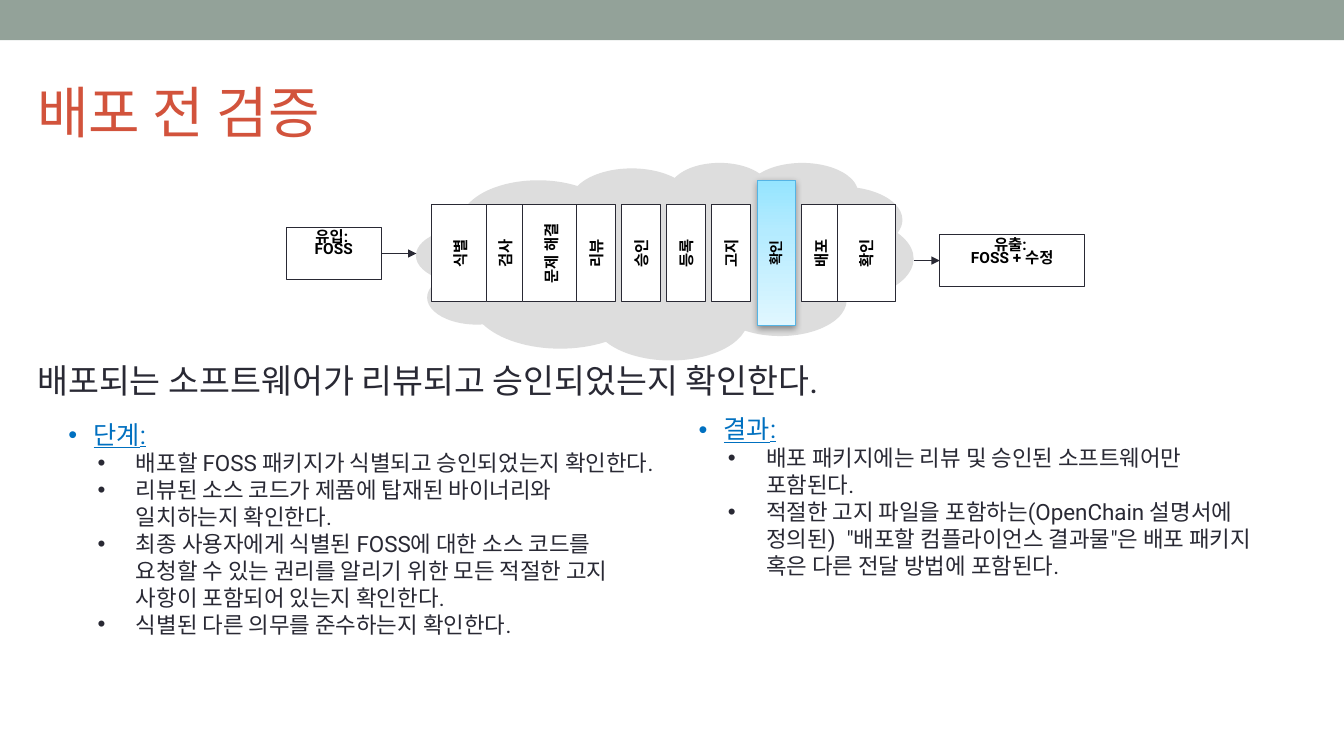
"""Builds the slide on verification before distribution."""
from lxml import etree
from pptx import Presentation, util as u
from pptx.dml.color import RGBColor
from pptx.enum import shapes, text
from pptx.oxml import parse_xml
from pptx.oxml.ns import nsdecls, qn

SAGE = RGBColor(0x93, 0xA2, 0x99)
CLOUD = RGBColor(0xDD, 0xDD, 0xDD)
WHITE = RGBColor(0xFF, 0xFF, 0xFF)
BLACK = RGBColor(0x00, 0x00, 0x00)
INK = RGBColor(0x29, 0x29, 0x34)
BLUE = RGBColor(0x00, 0x70, 0xC0)
SKY = RGBColor(0x55, 0xB4, 0xE5)
BRICK = RGBColor(0xD2, 0x53, 0x3C)
GLOW = [(0, RGBColor(0x95, 0xE5, 0xFF)), (35, RGBColor(0xB4, 0xEB, 0xFF)),
        (100, RGBColor(0xE0, 0xF7, 0xFF))]
FONT = "Roboto"

TITLE = "배포 전 검증"
STATEMENT = "배포되는 소프트웨어가 리뷰되고 승인되었는지 확인한다."
STEPS = ["식별", "검사", "문제 해결", "리뷰", "승인", "등록", "고지", "확인", "배포", "확인"]
WIDE_STEPS = {0, 2, 9}
CURRENT_STEP = 7
INFLOW = ["유입: ", "FOSS"]
OUTFLOW = ["유출: ", "FOSS + 수정"]
RESULTS = ["결과:",
           "배포 패키지에는 리뷰 및 승인된 소프트웨어만 포함된다.",
           "적절한 고지 파일을 포함하는(OpenChain 설명서에 정의된)  \"배포할 컴플라이언스 결과물\"은 "
           "배포 패키지 혹은 다른 전달 방법에 포함된다."]
TASKS = ["단계:",
         "배포할 FOSS 패키지가 식별되고 승인되었는지 확인한다.",
         "리뷰된 소스 코드가 제품에 탑재된 바이너리와 일치하는지 확인한다.",
         "최종 사용자에게 식별된 FOSS에 대한 소스 코드를 요청할 수 있는 권리를 알리기 위한 "
         "모든 적절한 고지 사항이 포함되어 있는지 확인한다.",
         "식별된 다른 의무를 준수하는지 확인한다."]

# Shares of the slide, in percent: left, top, width, height
BAND_AREA = (0, 0, 100, 5.33)
TITLE_AREA = (2.03, 7.47, 90, 14.4)
CLOUD_AREA = (30.98, 21.47, 36.98, 26.13)
STATEMENT_AREA = (2.03, 46.93, 97.97, 6.67)
INFLOW_AREA = (21.31, 30.13, 7.05, 6.8)
OUTFLOW_AREA = (69.92, 31.07, 10.8, 6.8)
RESULTS_AREA = (51.24, 54.53, 43.66, 39.07)
TASKS_AREA = (4.35, 55.2, 44.79, 40.4)
FIRST_STEP, LAST_STEP, STEP_MIDDLE = 34.28, 64.48, 33.47
NARROW, WIDE, CURRENT_WIDTH = 2.93, 4.28, 2.78
STEP_HEIGHT, CURRENT_HEIGHT = 12.93, 19.2

deck = Presentation()
deck.slide_width, deck.slide_height = u.Inches(13.33), u.Inches(7.5)
page = deck.slides.add_slide(deck.slide_layouts[6])


def across(share):
    return round(deck.slide_width * share / 100)


def down(share):
    return round(deck.slide_height * share / 100)


def place(area):
    left, top, width, height = area
    return across(left), down(top), across(width), down(height)


def upright(center, width, height):
    """Frame that covers the given area once turned by a quarter."""
    long, short = down(height), across(width)
    return across(center) - long // 2, down(STEP_MIDDLE) - short // 2, long, short


def add_box(frame, fill=None, line=None, kind=shapes.MSO_SHAPE.RECTANGLE):
    box = page.shapes.add_shape(kind, *frame)
    box.shadow.inherit = False
    if fill is not None:
        box.fill.solid()
        box.fill.fore_color.rgb = fill
    if line is None:
        box.line.fill.background()
    else:
        box.line.color.rgb = line
        box.line.width = u.Pt(0.75)
    return box


def write(box, lines, size, color, bold=None, align=text.PP_ALIGN.LEFT,
          anchor=text.MSO_ANCHOR.TOP, spacing=None):
    frame = box.text_frame
    frame.word_wrap = True
    frame.vertical_anchor = anchor
    for index, line in enumerate(lines):
        para = frame.paragraphs[0] if index == 0 else frame.add_paragraph()
        para.alignment = align
        if spacing:
            para.line_spacing = spacing
        span = para.add_run()
        span.text = line
        span.font.name, span.font.size, span.font.bold = FONT, u.Pt(size), bold
        span.font.color.rgb = color


def add_text(frame, lines, size, color, **style):
    box = page.shapes.add_textbox(*frame)
    write(box, lines, size, color, **style)
    return box


def add_bullets(area, lines):
    box = add_text(place(area), lines, 16, INK)
    for index, para in enumerate(box.text_frame.paragraphs):
        margin, hang, color = (0.67, 0.38, INK) if index else (0.25, 0.25, BLUE)
        if index == 0:
            para.line_spacing = 0.9
            font = para.runs[0].font
            font.size, font.underline = u.Pt(18), True
            font.color.rgb = BLUE
        props = para._p.get_or_add_pPr()
        props.set("marL", str(u.Inches(margin)))
        props.set("indent", str(-u.Inches(hang)))
        tint = etree.SubElement(props, qn("a:buClr"))
        etree.SubElement(tint, qn("a:srgbClr"), val=str(color))
        etree.SubElement(props, qn("a:buFont"), typeface="Arial")
        etree.SubElement(props, qn("a:buChar"), char="•")


def add_arrow(start, end):
    arrow = page.shapes.add_connector(shapes.MSO_CONNECTOR.STRAIGHT, across(start[0]),
                                      down(start[1]), across(end[0]), down(end[1]))
    arrow.line.color.rgb = INK
    arrow.line.width = u.Pt(0.75)
    etree.SubElement(arrow.line._get_or_add_ln(), qn("a:tailEnd"),
                     type="triangle", w="med", len="med")
    etree.SubElement(arrow._element.spPr, qn("a:effectLst"))
    return arrow


def add_current_step(center, name):
    area = (center - CURRENT_WIDTH / 2, STEP_MIDDLE - CURRENT_HEIGHT / 2,
            CURRENT_WIDTH, CURRENT_HEIGHT)
    box = add_box(place(area), WHITE, SKY)
    box.rotation = 180
    props = box._element.spPr
    stops = "".join(f'<a:gs pos="{share * 1000}"><a:srgbClr val="{color}"/></a:gs>'
                    for share, color in GLOW)
    props.replace(props.find(qn("a:solidFill")), parse_xml(
        f'<a:gradFill {nsdecls("a")} rotWithShape="1"><a:gsLst>{stops}</a:gsLst>'
        '<a:lin ang="16200000" scaled="0"/></a:gradFill>'))
    props.replace(props.find(qn("a:effectLst")), parse_xml(
        f'<a:effectLst {nsdecls("a")}><a:outerShdw blurRad="{u.Pt(5)}" dist="{u.Pt(1.6)}" '
        'dir="5400000" rotWithShape="0"><a:srgbClr val="000000"><a:alpha val="38000"/>'
        '</a:srgbClr></a:outerShdw></a:effectLst>'))
    label = add_text(upright(center, 2.78, CURRENT_HEIGHT), [name], 10, BLACK, bold=True,
                     align=text.PP_ALIGN.CENTER, anchor=text.MSO_ANCHOR.MIDDLE)
    label.rotation = 270


def add_step(center, width, name):
    box = add_box(upright(center, width, STEP_HEIGHT), WHITE, INK)
    box.rotation = 270
    write(box, [name], 11, BLACK, bold=True, align=text.PP_ALIGN.CENTER,
          anchor=text.MSO_ANCHOR.MIDDLE)


def add_flow_end(area, lines, spacing):
    box = add_box(place(area), WHITE, INK)
    write(box, lines, 11, BLACK, bold=True, align=text.PP_ALIGN.CENTER, spacing=spacing)
    return box


add_box(place(BAND_AREA), SAGE)
cloud = add_box(place(CLOUD_AREA), CLOUD, kind=shapes.MSO_SHAPE.CLOUD_CALLOUT)
cloud.adjustments[0], cloud.adjustments[1] = -0.01, 0.12

pitch = (LAST_STEP - FIRST_STEP) / (len(STEPS) - 1)
for index, name in enumerate(STEPS):
    center = FIRST_STEP + index * pitch
    if index == CURRENT_STEP:
        add_current_step(center, name)
    else:
        add_step(center, WIDE if index in WIDE_STEPS else NARROW, name)

add_bullets(RESULTS_AREA, RESULTS)
add_bullets(TASKS_AREA, TASKS)
add_text(place(STATEMENT_AREA), [STATEMENT], 24, INK)
add_text(place(TITLE_AREA), [TITLE], 40, BRICK, anchor=text.MSO_ANCHOR.MIDDLE)

inflow = add_flow_end(INFLOW_AREA, INFLOW, 0.65)
outflow = add_flow_end(OUTFLOW_AREA, OUTFLOW, 0.7)
add_arrow((28.36, 33.53), (30.98, 33.53)).begin_connect(inflow, 3)
add_arrow((67.97, 34.47), (69.92, 34.47)).end_connect(outflow, 1)

deck.save("out.pptx")
